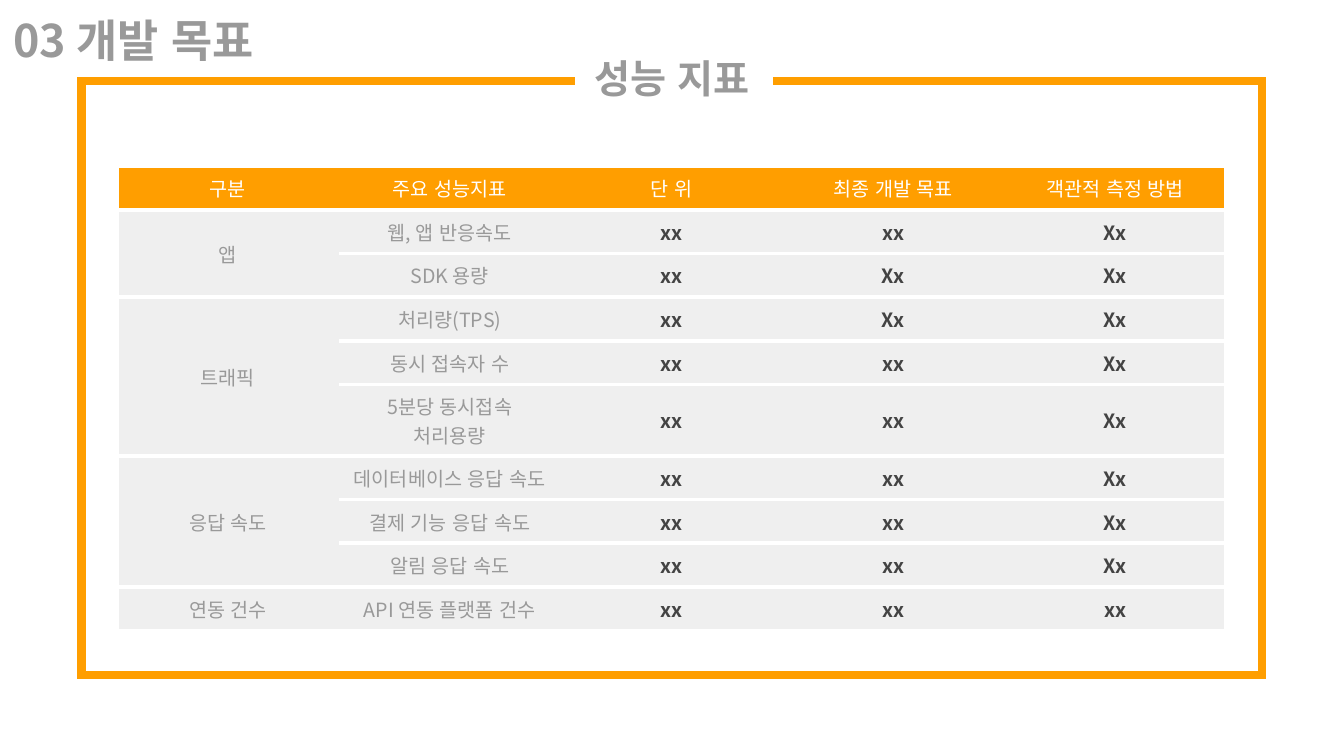
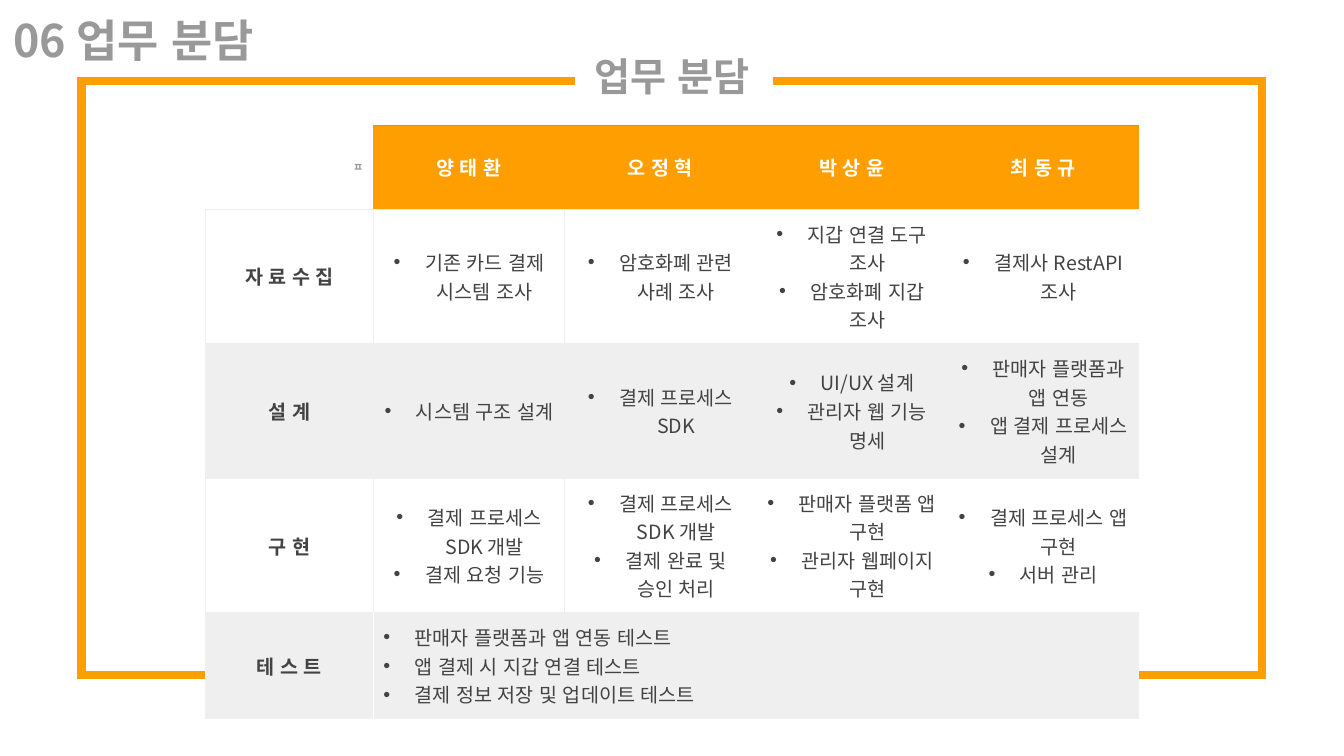
from lxml import etree
from pptx import Presentation
from pptx import util as u
from pptx.dml.color import RGBColor
from pptx.enum import lang, text
from pptx.oxml import ns

ORANGE, GRAY, DARK, PALE, WHITE = "FF9E00", "999999", "434343", "EFEFEF", "FFFFFF"
KOREAN_FONT = "Noto Sans CJK KR"
PLAIN_TABLE = "{2D5ABB26-0587-4C30-8999-92F81FD0307C}"
CENTER, LEFT, RIGHT = text.PP_ALIGN.CENTER, text.PP_ALIGN.LEFT, text.PP_ALIGN.RIGHT
MIDDLE, TOP = text.MSO_ANCHOR.MIDDLE, text.MSO_ANCHOR.TOP


def rgb(value):
    return RGBColor.from_string(value)


def assign(target, values):
    for name, value in values.items():
        setattr(target, name, value)


def child(parent, tag, **attributes):
    return etree.SubElement(parent, ns.qn(tag), attributes)


def margins(horizontal, vertical):
    return {"margin_left": u.Cm(horizontal), "margin_right": u.Cm(horizontal),
            "margin_top": u.Cm(vertical), "margin_bottom": u.Cm(vertical)}


def write(frame, lines, size, color, bold=False, align=CENTER, font=KOREAN_FONT,
          spacing=None, bullet=False):
    for index, line in enumerate(lines):
        para = frame.paragraphs[0] if index == 0 else frame.add_paragraph()
        assign(para, {"alignment": align, "line_spacing": spacing})
        if bullet:
            props = para._p.get_or_add_pPr()
            props.set("marL", str(u.Cm(0.79)))
            props.set("indent", str(-u.Cm(0.79)))
            child(props, "a:buFont", typeface="Arial")
            child(props, "a:buChar", char="•")
        span = para.add_run()
        span.text = line
        assign(span.font, {"size": u.Pt(size), "bold": bold, "name": font,
                           "language_id": lang.MSO_LANGUAGE_ID.KOREAN})
        span.font.color.rgb = rgb(color)
        child(span._r.get_or_add_rPr(), "a:ea", typeface=font)


def add_text(page, box, line, size, inset, anchor, **style):
    frame = page.shapes.add_textbox(*map(u.Cm, box)).text_frame
    assign(frame, {"word_wrap": True, "vertical_anchor": anchor,
                   **margins(inset, inset)})
    write(frame, [line], size, GRAY, bold=True, **style)


def add_frame(page, box, gap):
    left, top, width, height = box
    right, bottom = left + width, top + height
    gap_left, gap_right = gap
    corners = [(left, top), (left, bottom), (right, bottom), (right, top),
               (gap_right, top)]
    builder = page.shapes.build_freeform(u.Cm(gap_left), u.Cm(top))
    builder.add_line_segments([(u.Cm(x), u.Cm(y)) for x, y in corners], close=False)
    outline = builder.convert_to_shape()
    outline.shadow.inherit = False
    outline.fill.background()
    outline.line.color.rgb = rgb(ORANGE)
    outline.line.width = u.Pt(6)
    child(outline.line._get_or_add_ln(), "a:miter", lim="800000")


def add_page(deck, section, heading, heading_top):
    page = deck.slides.add_slide(deck.slide_layouts[6])
    add_frame(page, (2.06, 2.04, 29.74, 14.97), (14.48, 19.48))
    add_text(page, (12.01, heading_top, 9.86, 1.35), heading, 28, 0, MIDDLE,
             spacing=0.9)
    add_text(page, (0, 0, 11.58, 2.11), section, 32, 0.33, TOP, align=LEFT)
    return page


def add_grid(page, box, widths, heights):
    shape = page.shapes.add_table(len(heights), len(widths), *map(u.Cm, box))
    grid = shape.table
    assign(grid, {"first_row": False, "horz_banding": False})
    grid._tbl.tblPr.find(ns.qn("a:tableStyleId")).text = PLAIN_TABLE
    for column, width in zip(grid.columns, widths):
        column.width = u.Cm(width)
    for row, height in zip(grid.rows, heights):
        row.height = u.Cm(height)
    return grid


def format_cell(cell, fill, borders, width, inset):
    assign(cell, {"vertical_anchor": MIDDLE, **margins(*inset)})
    if fill:
        cell.fill.solid()
        cell.fill.fore_color.rgb = rgb(fill)
    else:
        cell.fill.background()
    props = cell._tc.get_or_add_tcPr()
    sides = [side for side in "LRTB" if side in borders]
    for index, side in enumerate(sides):
        line = etree.Element(ns.qn("a:ln" + side), w=str(u.Pt(width)))
        child(child(line, "a:solidFill"), "a:srgbClr", val=borders[side])
        props.insert(index, line)


def add_metrics(page, box):
    header = ["구분", "주요 성능지표", "단 위", "최종 개발 목표", "객관적 측정 방법"]
    groups = [
        ("앱", [("웹, 앱 반응속도", "xx", "xx", "Xx"),
               ("SDK 용량", "xx", "Xx", "Xx")]),
        ("트래픽", [("처리량(TPS)", "xx", "Xx", "Xx"),
                 ("동시 접속자 수", "xx", "xx", "Xx"),
                 ("5분당 동시접속 처리용량", "xx", "xx", "Xx")]),
        ("응답 속도", [("데이터베이스 응답 속도", "xx", "xx", "Xx"),
                   ("결제 기능 응답 속도", "xx", "xx", "Xx"),
                   ("알림 응답 속도", "xx", "xx", "Xx")]),
        ("연동 건수", [("API 연동 플랫폼 건수", "xx", "xx", "xx")]),
    ]
    rows = [header]
    merges = []
    for group, metrics in groups:
        merges.append((len(rows), len(rows) + len(metrics) - 1))
        for index, metric in enumerate(metrics):
            rows.append(["" if index else group, *metric])
    heights = [1.8 if row[1].startswith("5분당") else 1.1 for row in rows]
    columns = len(header)
    grid = add_grid(page, box, [box[2] / columns] * columns, heights)
    for r, row in enumerate(rows):
        for c, value in enumerate(row):
            borders = {"T": WHITE, "B": WHITE}
            if c == 0:
                borders["L"] = WHITE
            if c == columns - 1:
                borders["R"] = WHITE
            cell = grid.cell(r, c)
            format_cell(cell, PALE if r else ORANGE, borders, 3, (0.25, 0.18))
            color = WHITE if r == 0 else GRAY if c < 2 else DARK
            if value:
                write(cell.text_frame, [value], 14, color, bold=color == DARK)
    for first, last in merges:
        if last > first:
            grid.cell(first, 0).merge(grid.cell(last, 0))


def add_duties(page, box):
    members = ["양 태 환", "오 정 혁", "박 상 윤", "최 동 규"]
    stages = [
        ("자 료 수 집", [["기존 카드 결제 시스템 조사"], ["암호화폐 관련 사례 조사"],
                     ["지갑 연결 도구 조사", "암호화폐 지갑 조사"],
                     ["결제사 RestAPI 조사"]]),
        ("설 계", [["시스템 구조 설계"], ["결제 프로세스 SDK"],
                 ["UI/UX 설계", "관리자 웹 기능 명세"],
                 ["판매자 플랫폼과 앱 연동", "앱 결제 프로세스 설계"]]),
        ("구 현", [["결제 프로세스 SDK 개발", "결제 요청 기능"],
                 ["결제 프로세스 SDK 개발", "결제 완료 및 승인 처리"],
                 ["판매자 플랫폼 앱 구현", "관리자 웹페이지 구현"],
                 ["결제 프로세스 앱 구현", "서버 관리"]]),
        ("테 스 트", [["판매자 플랫폼과 앱 연동 테스트", "앱 결제 시 지갑 연결 테스트",
                    "결제 정보 저장 및 업데이트 테스트"], [], [], []]),
    ]
    label_width = 4.23
    member_width = (box[2] - label_width) / len(members)
    grid = add_grid(page, box, [label_width] + [member_width] * len(members),
                    [2.12, 3.39, 3.39, 3.39, 2.67])
    inset = (0.25, 0.25)

    corner = grid.cell(0, 0)
    format_cell(corner, None, {"R": ORANGE, "B": PALE}, 0.75, inset)
    write(corner.text_frame, ["ㅍ"], 8, GRAY, bold=True, align=RIGHT, font="Noto Sans")
    for c, member in enumerate(members, 1):
        cell = grid.cell(0, c)
        format_cell(cell, ORANGE, {"T": GRAY, "B": PALE}, 0.75, inset)
        write(cell.text_frame, [member], 14, WHITE, bold=True)

    for r, (stage, duties) in enumerate(stages, 1):
        fill = None if r % 2 else PALE
        last = r == len(stages)
        divider = WHITE if last else PALE
        edges = {"T": PALE, "B": PALE}
        label = grid.cell(r, 0)
        format_cell(label, fill, {**edges, "L": PALE, "R": divider}, 0.75, inset)
        write(label.text_frame, [stage], 14, DARK, bold=True)
        for c, lines in enumerate(duties, 1):
            cell = grid.cell(r, c)
            borders = {**edges, "L": divider} if c == 1 else edges
            format_cell(cell, fill, borders, 0.75, inset)
            write(cell.text_frame, lines, 14, DARK, bullet=True,
                  align=LEFT if last else CENTER)
    grid.cell(len(stages), 1).merge(grid.cell(len(stages), len(members)))


deck = Presentation()
assign(deck, {"slide_width": u.Cm(33.87), "slide_height": u.Cm(19.05)})
add_metrics(add_page(deck, "03 개발 목표", "성능 지표", 1.37), (2.95, 4.19, 27.95, 11.7))
add_duties(add_page(deck, "06 업무 분담", "업무 분담", 1.32), (5.18, 3.15, 23.52, 14.96))
deck.save("out.pptx")
